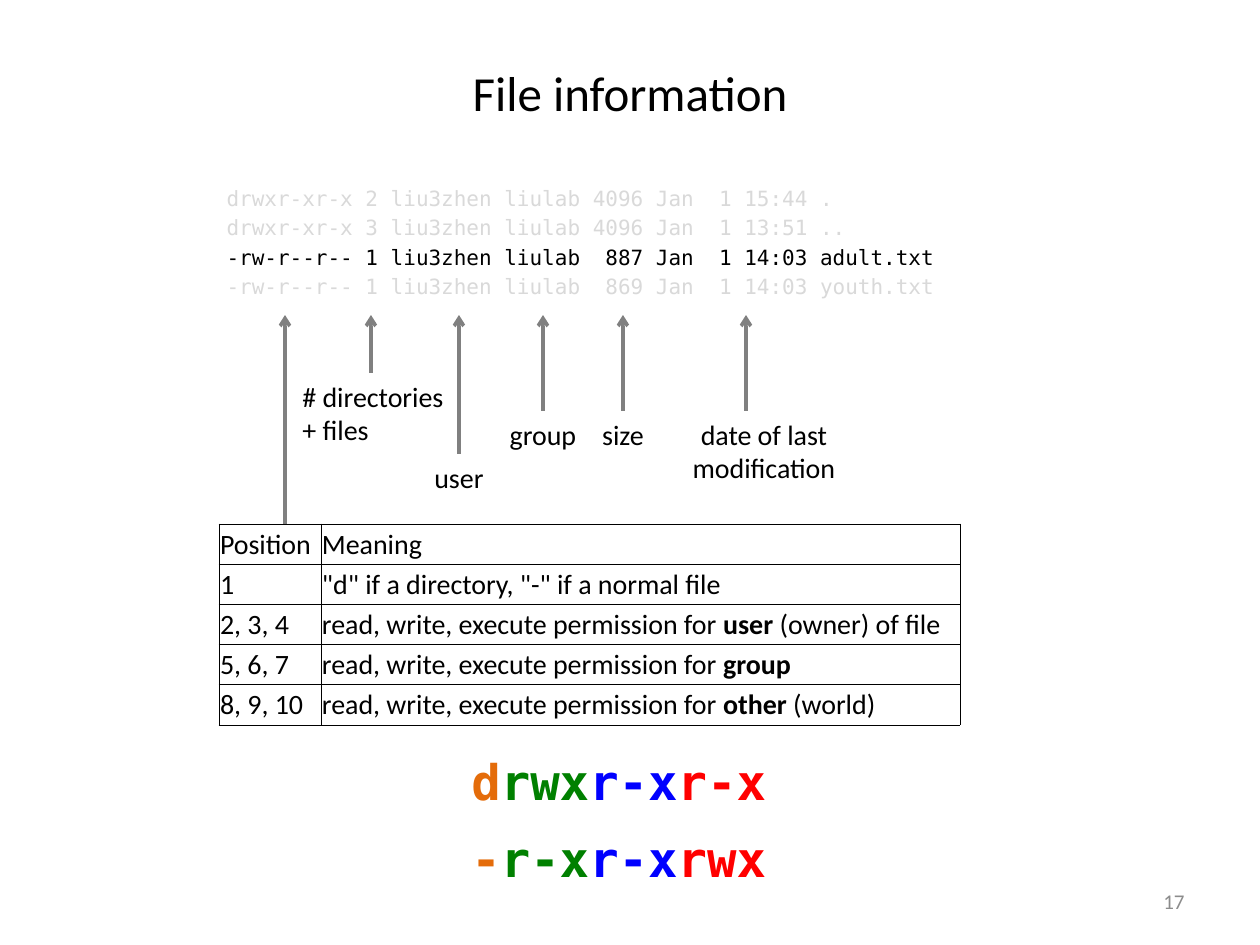
from lxml import etree
from pptx import Presentation
from pptx import util as u
from pptx.dml.color import RGBColor
from pptx.enum import shapes, text
from pptx.oxml.ns import qn

SANS, MONO = "Calibri", "DejaVu Sans Mono"
BLACK, PALE, GREY = "000000", "D9D9D9", "808080"
LEFT, CENTER, RIGHT = text.PP_ALIGN.LEFT, text.PP_ALIGN.CENTER, text.PP_ALIGN.RIGHT

# Content
TITLE = "File information"
LISTING = [
    ("drwxr-xr-x 2 liu3zhen liulab 4096 Jan  1 15:44 .", PALE),
    ("drwxr-xr-x 3 liu3zhen liulab 4096 Jan  1 13:51 ..", PALE),
    ("-rw-r--r-- 1 liu3zhen liulab  887 Jan  1 14:03 adult.txt", BLACK),
    ("-rw-r--r-- 1 liu3zhen liulab  869 Jan  1 14:03 youth.txt", PALE),
]
# Arrow x, arrow start y
ARROWS = [(285, 524), (371, 373), (459, 454), (543, 411), (623, 411), (746, 411)]
ARROW_TIP = 315
# Label, box (left, top, width, height), alignment
LABELS = [
    ("# directories + files", (290, 373, 169, 81), LEFT),
    ("user", (410, 454, 98, 47), CENTER),
    ("group", (494, 411, 98, 47), CENTER),
    ("size", (574, 411, 98, 47), CENTER),
    ("date of last modification", (651, 411, 226, 81), CENTER),
]
# Each cell is a list of runs; every second run is bold
PERMISSION = "read, write, execute permission for "
TABLE = [
    (["Position"], ["Meaning"]),
    (["1"], ['"d" if a directory, "-" if a normal file']),
    (["2, 3, 4"], [PERMISSION, "user ", "(owner) of file"]),
    (["5, 6, 7"], [PERMISSION, "group"]),
    (["8, 9, 10"], [PERMISSION, "other", " (world)"]),
]
TABLE_LEFT, TABLE_TOP, TABLE_HEIGHT = 219, 524, 201
COLUMN_WIDTHS = [102, 639]
MODES = [("d", "rwx", "r-x", "r-x"), ("-", "r-x", "r-x", "rwx")]
MODE_COLORS = ["E46C0A", "008000", "0000FF", "FF0000"]
MODE_TOP, MODE_STEP = 745, 77


def px(value):
    return u.Emu(round(value * 914400 / 126))


def rgb(color):
    return RGBColor.from_string(color)


def style(font, size, name=SANS, color=BLACK, bold=None):
    font.size, font.name, font.bold = u.Pt(size), name, bold
    font.color.rgb = rgb(color)


def place(shape, left, top, width, height):
    shape.left, shape.top = px(left), px(top)
    shape.width, shape.height = px(width), px(height)


def add_text(slide, box, runs, align, wrap=True):
    shape = slide.shapes.add_textbox(*map(px, box))
    shape.text_frame.word_wrap = wrap
    paragraph = shape.text_frame.paragraphs[0]
    paragraph.alignment = align
    for words in runs:
        paragraph.add_run().text = words
    return shape.text_frame, paragraph


def add_arrow(slide, x, start):
    arrow = slide.shapes.add_connector(
        shapes.MSO_CONNECTOR.STRAIGHT, px(x), px(start), px(x), px(ARROW_TIP))
    arrow.line.color.rgb = rgb(GREY)
    arrow.line.width = u.Pt(2)
    properties = arrow._element.spPr
    etree.SubElement(properties.find(qn("a:ln")), qn("a:tailEnd"), type="arrow")
    etree.SubElement(properties, qn("a:effectLst"))


def add_borders(cell):
    properties = cell._tc.get_or_add_tcPr()
    for index, side in enumerate(("lnL", "lnR", "lnT", "lnB")):
        line = etree.Element(qn(f"a:{side}"), w=str(u.Pt(0.5)))
        fill = etree.SubElement(line, qn("a:solidFill"))
        etree.SubElement(fill, qn("a:srgbClr"), val=BLACK)
        properties.insert(index, line)


def fill_cell(cell, runs):
    cell.margin_left = cell.margin_top = cell.margin_right = px(1)
    cell.margin_bottom = 0
    cell.vertical_anchor = text.MSO_ANCHOR.MIDDLE
    cell.fill.background()
    add_borders(cell)
    paragraph = cell.text_frame.paragraphs[0]
    for index, words in enumerate(runs):
        run = paragraph.add_run()
        run.text = words
        run.font.bold = index % 2 == 1
    style(paragraph.font, 16)


def main():
    presentation = Presentation()
    presentation.slide_width, presentation.slide_height = px(1260), px(945)
    slide = presentation.slides.add_slide(presentation.slide_layouts[1])

    # Title
    title = slide.shapes.title
    place(title, 63, 38, 1134, 107)
    title.text_frame.text = TITLE
    title.text_frame.vertical_anchor = text.MSO_ANCHOR.MIDDLE
    style(title.text_frame.paragraphs[0].font, 28)

    # Directory listing
    body = slide.placeholders[1]
    place(body, 214, 179, 788, 136)
    body.text_frame.text = "\n".join(line for line, _ in LISTING)
    for paragraph, (_, color) in zip(body.text_frame.paragraphs, LISTING):
        properties = paragraph._p.get_or_add_pPr()
        properties.set("marL", "0")
        properties.set("indent", "0")
        etree.SubElement(properties, qn("a:buNone"))
        style(paragraph.font, 12, MONO, color)
    body.text_frame.paragraphs[0].space_before = 0

    # Slide number
    frame, paragraph = add_text(slide, (903, 876, 294, 50), ["17"], RIGHT)
    frame.vertical_anchor = text.MSO_ANCHOR.MIDDLE
    style(paragraph.font, 12, color="8C8C8C")

    # Permission table
    frame = slide.shapes.add_table(
        len(TABLE), len(COLUMN_WIDTHS), px(TABLE_LEFT), px(TABLE_TOP),
        px(sum(COLUMN_WIDTHS)), px(TABLE_HEIGHT))
    table = frame.table
    table.first_row = table.horz_banding = False
    for column, width in zip(table.columns, COLUMN_WIDTHS):
        column.width = px(width)
    for row, contents in zip(table.rows, TABLE):
        for cell, runs in zip(row.cells, contents):
            fill_cell(cell, runs)

    # Arrows and field labels
    for x, start in ARROWS:
        add_arrow(slide, x, start)
    for label, box, align in LABELS:
        _, paragraph = add_text(slide, box, [label], align)
        style(paragraph.font, 16)

    # Coloured permission strings
    for index, parts in enumerate(MODES):
        box = (459, MODE_TOP + index * MODE_STEP, 323, 72)
        _, paragraph = add_text(slide, box, parts, LEFT, wrap=False)
        for run, color in zip(paragraph.runs, MODE_COLORS):
            style(run.font, 28, MONO, color, True)

    presentation.save("out.pptx")


if __name__ == "__main__":
    main()
